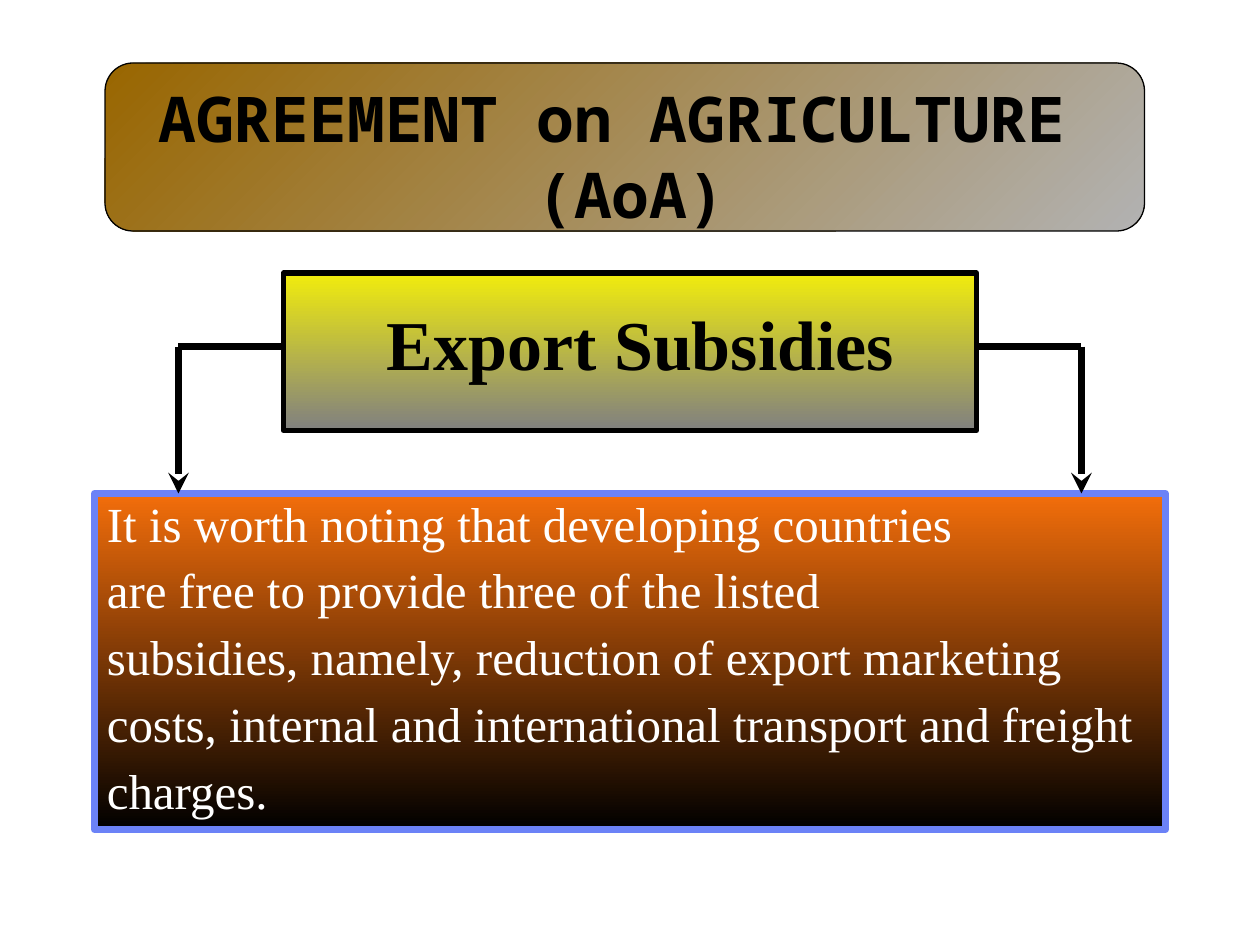
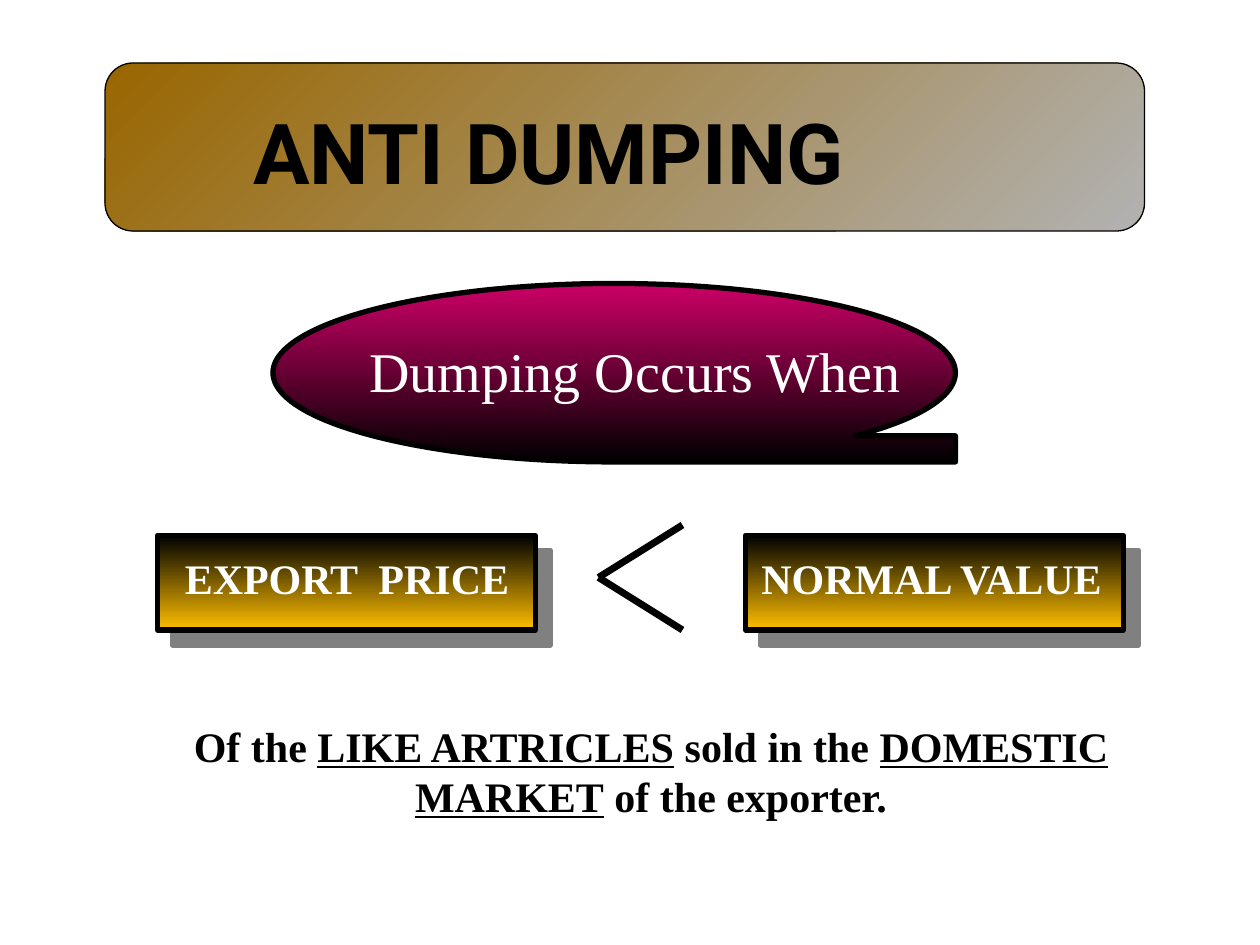
from lxml.etree import SubElement
from pptx import Presentation
from pptx.dml.color import RGBColor
from pptx.enum.shapes import MSO_CONNECTOR, MSO_SHAPE
from pptx.enum.text import MSO_ANCHOR, MSO_AUTO_SIZE, PP_ALIGN
from pptx.oxml.ns import qn
from pptx.util import Pt

SERIF = "Times New Roman"
BLACK, WHITE = "000000", "FFFFFF"
LEFT, MID = PP_ALIGN.LEFT, PP_ALIGN.CENTER
hue = RGBColor.from_string


def block(page, kind, box, start, end, edge=BLACK, width=3, angle=90):
    shape = page.shapes.add_shape(kind, *map(Pt, box))
    shape.shadow.inherit = False
    shape.fill.gradient()
    shape.fill.gradient_angle = 360 - angle
    for stop, tone in zip(shape.fill.gradient_stops, (start, end)):
        stop.color.rgb = hue(tone)
    shape.line.color.rgb = hue(edge)
    shape.line.width = Pt(width)
    return shape


def write(shape, lines, size, color=BLACK, bold=True, align=MID, font=SERIF, wrap=False):
    frame = shape.text_frame
    frame.auto_size = MSO_AUTO_SIZE.NONE
    frame.word_wrap = wrap
    frame.vertical_anchor = MSO_ANCHOR.TOP
    frame.text = "\n".join(lines)
    for para in frame.paragraphs:
        para.alignment = align
        para.font.name = font
        para.font.size = Pt(size)
        para.font.bold = bold
        para.font.color.rgb = hue(color)
    return frame


deck = Presentation()
deck.slide_width, deck.slide_height = Pt(720), Pt(540)

heads = [
    (["AGREEMENT on AGRICULTURE ", "(AoA)"], (81, 42, 559, 137), 36, "Noto Sans Mono", MID),
    (["ANTI DUMPING"], (137.5, 54, 385, 65), 48, "Roboto", LEFT),
]
pages = []
for lines, box, size, font, align in heads:
    page = deck.slides.add_slide(deck.slide_layouts[5])
    band = block(page, MSO_SHAPE.ROUNDED_RECTANGLE, (60, 36, 594, 96),
                 "996600", "B2B2B2", width=0.75, angle=45)
    title = page.shapes.title
    title.left, title.top, title.width, title.height = map(Pt, box)
    write(title, lines, size, align=align, font=font)
    band._element.addnext(title._element)
    pages.append(page)
farm, dump = pages

note = block(farm, MSO_SHAPE.RECTANGLE, (54, 282, 612, 192), "F36E0B", BLACK, "6B82F7", 4)
frame = write(note, [
    "It is worth noting that developing countries",
    "are free to provide three of the listed",
    "subsidies, namely, reduction of export marketing",
    "costs, internal and international transport and freight",
    "charges.",
], 28, WHITE, False, LEFT, wrap=True)
for spot, para in enumerate(frame.paragraphs):
    para.line_spacing = 0.9
    if spot:
        para.space_before = Pt(8)

block(farm, MSO_SHAPE.RECTANGLE, (162, 156, 396, 90), "F1EC0D", "808080")
write(farm.shapes.add_textbox(Pt(198), Pt(168), Pt(336), Pt(55)), ["Export Subsidies"], 40, wrap=True)

block(dump, MSO_SHAPE.FLOWCHART_SEQUENTIAL_ACCESS_STORAGE, (156, 162, 390, 102), "CC0066", BLACK)
write(dump.shapes.add_textbox(Pt(204), Pt(188.5), Pt(318), Pt(46)),
      ["Dumping Occurs When"], 32, WHITE, False, LEFT)

for left, start, width, label in [
    (90, 98.5, 201, "EXPORT  PRICE"),
    (426, 428, 214, "NORMAL VALUE"),
]:
    card = block(dump, MSO_SHAPE.RECTANGLE, (left, 306, 216, 54), BLACK, "FFBF00")
    glow = card._element.spPr.find(qn("a:effectLst"))
    shade = SubElement(glow, qn("a:outerShdw"), dist=str(Pt(12.1)), dir="2700000",
                       algn="ctr", rotWithShape="0")
    SubElement(shade, qn("a:srgbClr"), val="808080")
    write(dump.shapes.add_textbox(Pt(start), Pt(312), Pt(width), Pt(36)),
          [label], 24, WHITE, align=LEFT)

foot = dump.shapes.add_textbox(Pt(60), Pt(408), Pt(624), Pt(65))
para = write(foot, [""], 24, wrap=True).paragraphs[0]
for text, under in [
    ("Of the ", False),
    ("LIKE ARTRICLES", True),
    (" sold in the ", False),
    ("DOMESTIC MARKET", True),
    (" of the exporter.", False),
]:
    run = para.add_run()
    run.text = text
    run.font.underline = under

for page, ends, arrow in [
    (farm, (162, 198, 102, 198), False),
    (farm, (558, 198, 618, 198), False),
    (farm, (102, 198, 102, 282), True),
    (farm, (618, 198, 618, 282), True),
    (dump, (342, 330, 390, 300), False),
    (dump, (342, 330, 390, 360), False),
]:
    wire = page.shapes.add_connector(MSO_CONNECTOR.STRAIGHT, *map(Pt, ends))
    wire.line.color.rgb = hue(BLACK)
    wire.line.width = Pt(4)
    if arrow:
        SubElement(wire.line._get_or_add_ln(), qn("a:tailEnd"), type="stealth")
    SubElement(wire._element.spPr, qn("a:effectLst"))

deck.save("out.pptx")
